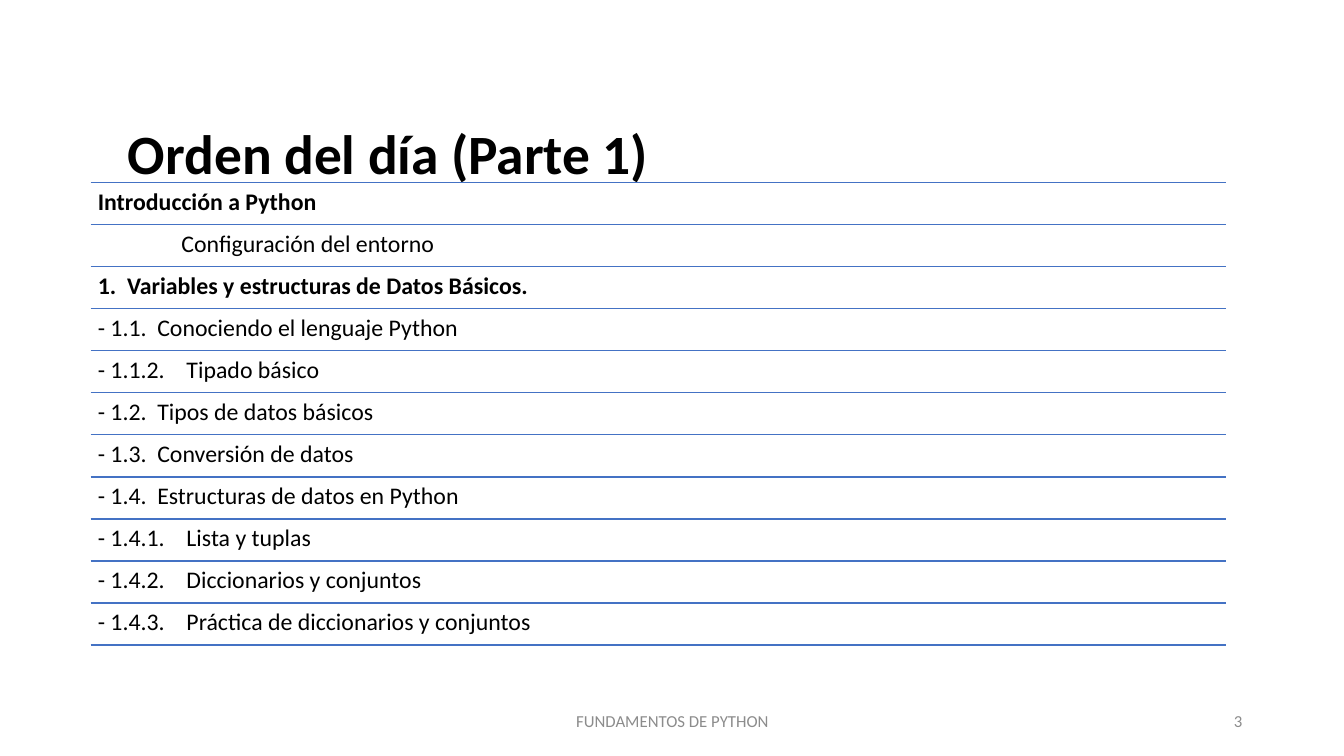
from lxml.etree import SubElement
from pptx import Presentation
from pptx.dml.color import RGBColor
from pptx.enum.shapes import MSO_CONNECTOR
from pptx.enum.text import MSO_ANCHOR, PP_ALIGN
from pptx.oxml.ns import qn
from pptx.util import Inches, Pt

COLORS = {"ink": "000000", "rule": "4472C4", "muted": "8C8C8C"}
FONT = "Calibri"
TAB_STOPS = [0.83, 0.29, 0.59, 0.88]
AGENDA = [
    ("Introducción a Python", None, True),
    ("", "Configuración del entorno", False),
    ("1.", "Variables y estructuras de Datos Básicos.", True),
    ("- 1.1.", "Conociendo el lenguaje Python", False),
    ("- 1.1.2.", "Tipado básico", False),
    ("- 1.2.", "Tipos de datos básicos", False),
    ("- 1.3.", "Conversión de datos", False),
    ("- 1.4.", "Estructuras de datos en Python", False),
    ("- 1.4.1.", "Lista y tuplas", False),
    ("- 1.4.2.", "Diccionarios y conjuntos", False),
    ("- 1.4.3.", "Práctica de diccionarios y conjuntos", False),
]


def set_values(target, **values):
    """Set each named attribute on the target."""
    for name, value in values.items():
        setattr(target, name, value)


def add_text(page, box, text, size, color="ink", bold=False, inset=None,
             anchor=MSO_ANCHOR.MIDDLE, **para_values):
    """Add a one-paragraph text box and return its paragraph."""
    frame = page.shapes.add_textbox(*map(Inches, box)).text_frame
    set_values(frame, word_wrap=True, vertical_anchor=anchor)
    if inset is not None:
        for side in ("left", "top", "right", "bottom"):
            setattr(frame, f"margin_{side}", Inches(inset))
    para = frame.paragraphs[0]
    set_values(para, **para_values)
    span = para.add_run()
    span.text = text
    set_values(span.font, name=FONT, size=Pt(size), bold=bold)
    span.font.color.rgb = RGBColor.from_string(COLORS[color])
    return para


def add_tab_stop(para, position):
    """Give the paragraph one left tab stop."""
    stops = SubElement(para._p.get_or_add_pPr(), qn("a:tabLst"))
    SubElement(stops, qn("a:tab"), pos=str(Inches(position)), algn="l")


def add_rule(page, left, top, width):
    """Draw a thin horizontal rule."""
    rule = page.shapes.add_connector(
        MSO_CONNECTOR.STRAIGHT, Inches(left), Inches(top),
        Inches(left + width), Inches(top))
    rule.line.color.rgb = RGBColor.from_string(COLORS["rule"])
    rule.line.width = Pt(1)
    SubElement(rule._element.spPr, qn("a:effectLst"))


def add_title(page, box):
    """Place the slide title."""
    add_text(page, box, "Orden del día (Parte 1)", 39.6, bold=True,
             line_spacing=0.9)


def add_agenda(page, box):
    """Place the agenda rows in the box, with a rule around each."""
    left, top, width, height = box
    pitch = height / len(AGENDA)
    for index, (label, topic, bold) in enumerate(AGENDA):
        row_top = top + index * pitch
        add_rule(page, left, row_top, width)
        text = f"{label}\t{topic}" if topic else label
        para = add_text(page, (left, row_top, width, pitch), text, 17,
                        bold=bold, inset=0.07, anchor=MSO_ANCHOR.TOP,
                        line_spacing=0.9)
        if topic:
            add_tab_stop(para, TAB_STOPS[label.count(".")])
    add_rule(page, left, top + height, width)


def add_footer(page, box):
    """Place the course name and the page number."""
    left, top, width, height = box
    add_text(page, (left, top, 4.5, height), "FUNDAMENTOS DE PYTHON", 12,
             "muted", alignment=PP_ALIGN.CENTER)
    add_text(page, (left + width - 3, top, 3, height), "3", 12,
             "muted", alignment=PP_ALIGN.RIGHT)


def main():
    """Build and save the deck."""
    deck = Presentation()
    set_values(deck, slide_width=Inches(13.33), slide_height=Inches(7.5))
    page = deck.slides.add_slide(deck.slide_layouts[6])
    add_title(page, (1.17, 1.3, 11, 0.51))
    add_agenda(page, (0.9, 1.81, 11.26, 4.59))
    add_footer(page, (4.42, 6.95, 8, 0.4))
    deck.save("out.pptx")


if __name__ == "__main__":
    main()
